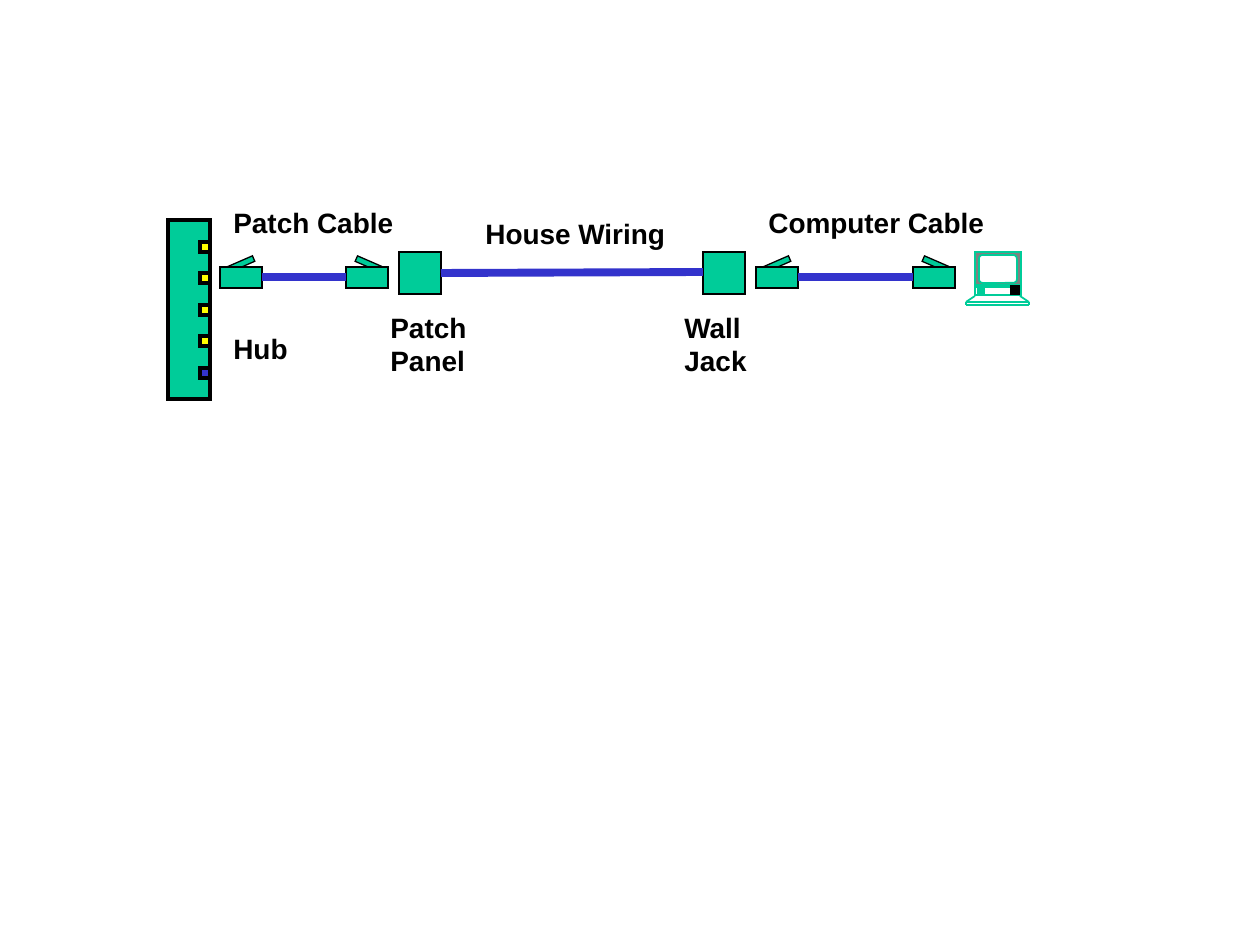
from pptx import Presentation
from pptx.dml.color import RGBColor
from pptx.enum.shapes import MSO_CONNECTOR, MSO_SHAPE
from pptx.enum.text import MSO_AUTO_SIZE, PP_ALIGN
from pptx.oxml.ns import qn
from pptx.util import Pt
from lxml import etree

RECT = MSO_SHAPE.RECTANGLE
ROUNDED = MSO_SHAPE.ROUNDED_RECTANGLE
STRAIGHT = MSO_CONNECTOR.STRAIGHT
GROW = MSO_AUTO_SIZE.SHAPE_TO_FIT_TEXT
LEFT = PP_ALIGN.LEFT

THEME = {
    "device": RGBColor(0x00, 0xCC, 0x99),
    "cable": RGBColor(0x33, 0x33, 0xCC),
    "port": RGBColor(0xFF, 0xFF, 0x00),
    "bezel": RGBColor(0x80, 0x80, 0x80),
    "screen": RGBColor(0xFF, 0xFF, 0xFF),
    "ink": RGBColor(0x00, 0x00, 0x00),
    "font": "Arial",
    "label": Pt(16),
}
PX = 914400 / 126

prs = Presentation()
prs.slide_width, prs.slide_height = round(1260 * PX), round(945 * PX)
slide = prs.slides.add_slide(prs.slide_layouts[6])
shapes = slide.shapes


def add_box(x, y, w, h, fill="device", line="ink", width=0.75, kind=RECT, angle=0):
    box = shapes.add_shape(kind, *(round(v * PX) for v in (x, y, w, h)))
    box.shadow.inherit = False
    box.rotation = angle
    if fill:
        box.fill.solid()
        box.fill.fore_color.rgb = THEME[fill]
    else:
        box.fill.background()
    box.line.color.rgb = THEME[line]
    box.line.width = Pt(width)
    etree.SubElement(box.line._get_or_add_ln(), qn("a:miter"), lim="800000")
    return box


def add_wire(x1, y1, x2, y2, color, width):
    wire = shapes.add_connector(STRAIGHT, *(round(v * PX) for v in (x1, y1, x2, y2)))
    wire.line.color.rgb = THEME[color]
    wire.line.width = Pt(width)
    etree.SubElement(wire._element.spPr, qn("a:effectLst"))


for outlet_x in (399, 703):
    add_box(outlet_x, 252, 42, 42)
add_wire(441, 273, 703, 272, "cable", 4.5)

for left_plug, right_plug in ((220, 346), (756, 913)):
    for plug_x, lever_inset, angle in ((left_plug, 3, -23.5), (right_plug, 9, 23.5)):
        add_box(plug_x + lever_inset, 262, 32, 6, angle=angle)
        add_box(plug_x, 267, 42, 21)
    add_wire(left_plug + 42, 277, right_plug, 277, "cable", 4.5)

add_box(168, 220, 42, 179, width=2.25)
for row, port_color in enumerate(["port"] * 4 + ["cable"]):
    add_box(200, 242 + row * 63 // 2, 10, 10, port_color, width=2.25)

add_box(975, 252, 46, 33, "bezel", "device", 1)
screen = add_box(979, 255, 38, 28, "screen", "device", 1, ROUNDED)
screen.adjustments[0] = 0.13
for base_edge in (
    (1020, 296, 1029, 302),
    (1029, 302, 966, 302),
    (1029, 305, 966, 305),
    (1029, 302, 1029, 305),
    (975, 296, 966, 302),
    (966, 302, 966, 305),
):
    add_wire(*base_edge, "device", 1)
add_box(975, 287, 46, 8, None, "device", 1)
add_wire(985, 291, 977, 291, "device", 4)
add_box(1014, 289, 3, 3, "ink", "ink", 4)

LABELS = (
    ("House Wiring", 473, 210, 210, 47),
    ("Wall\nJack", 672, 304, 92, 81),
    ("Patch\nPanel", 378, 304, 106, 81),
    ("Patch Cable", 221, 199, 190, 47),
    ("Computer Cable", 756, 199, 246, 47),
    ("Hub", 221, 325, 90, 47),
)
FORMAT = {"name": THEME["font"], "size": THEME["label"], "bold": True}
for words, *place in LABELS:
    frame = shapes.add_textbox(*(round(v * PX) for v in place)).text_frame
    frame.word_wrap = False
    frame.auto_size = GROW
    frame.text = words
    for paragraph in frame.paragraphs:
        paragraph.alignment = LEFT
        font = paragraph.runs[0].font
        for attribute, value in FORMAT.items():
            setattr(font, attribute, value)
        font.color.rgb = THEME["ink"]

prs.save("out.pptx")
